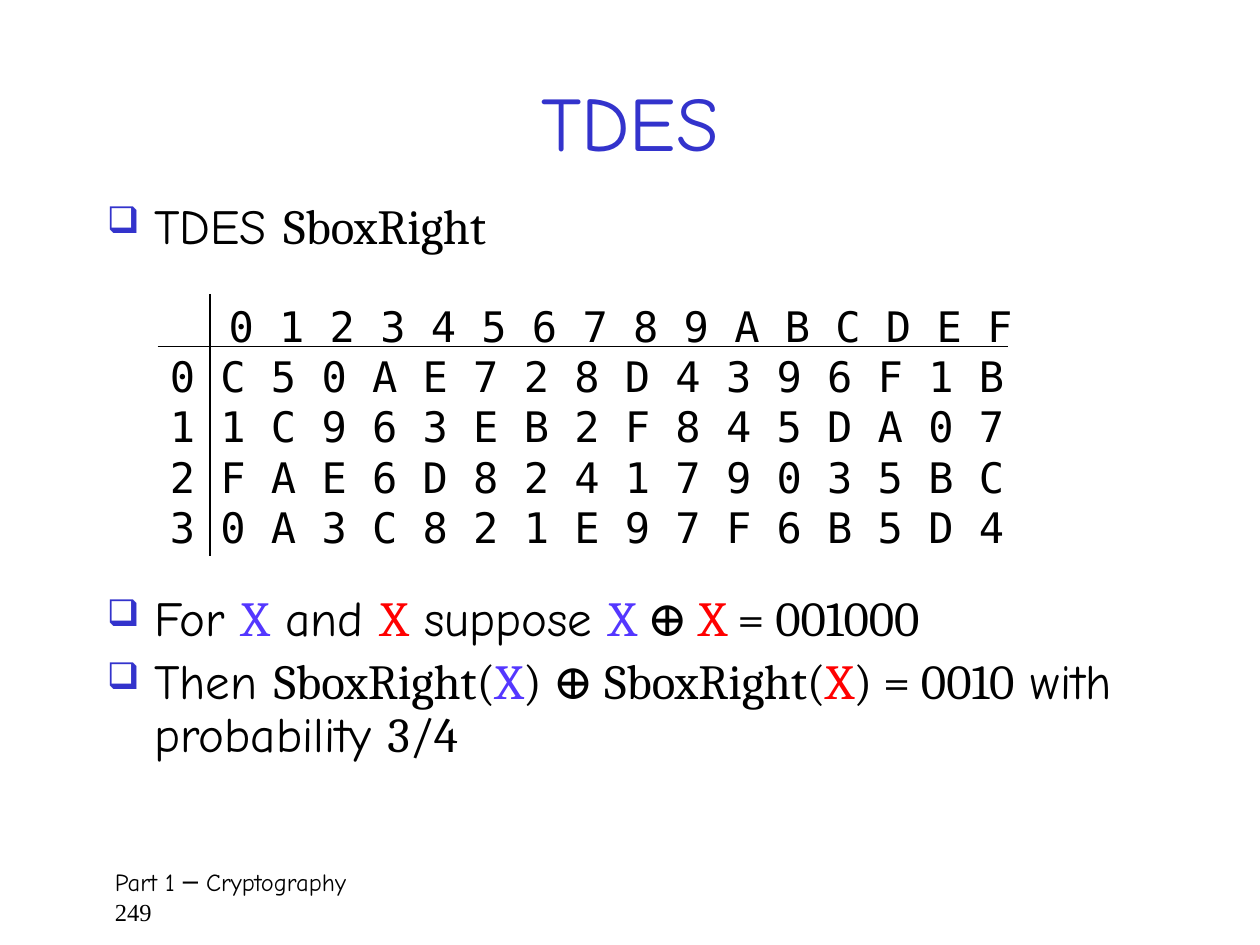
from lxml.etree import SubElement
from pptx import Presentation
from pptx.dml.color import RGBColor
from pptx.enum.shapes import MSO_CONNECTOR as Connector
from pptx.enum.text import MSO_ANCHOR as Anchor, PP_ALIGN as Align
from pptx.oxml.ns import qn
from pptx.util import Pt

BLACK, TITLE_BLUE, X_BLUE, X_RED = "000000", "3333CC", "5437FF", "FF0000"
COMIC, SERIF, MONO = "Comic Neue", "Cambria", "DejaVu Sans Mono"


def color(hex_string):
    return RGBColor.from_string(hex_string)


def add_span(para, text, name, size, hex_string=BLACK):
    span = para.add_run()
    span.text = text
    formats = {"name": name, "size": Pt(size), "bold": False}
    for key, value in formats.items():
        setattr(span.font, key, value)
    span.font.color.rgb = color(hex_string)


deck = Presentation()
deck.slide_width, deck.slide_height = Pt(720), Pt(540)
page = deck.slides.add_slide(deck.slide_layouts[5])

# Title
title = page.shapes.title
place = {"left": Pt(54), "top": Pt(24), "width": Pt(612), "height": Pt(90)}
for key, value in place.items():
    setattr(title, key, value)
title.text_frame.vertical_anchor = Anchor.MIDDLE
para = title.text_frame.paragraphs[0]
para.alignment = Align.CENTER
add_span(para, "TDES", COMIC, 44, TITLE_BLUE)

# Bulleted text: top, height, line spacing, paragraphs of spans
bullet_boxes = [
    (108, 60, 1.0, [
        [("TDES ", COMIC, BLACK), ("SboxRight", SERIF, BLACK)],
    ]),
    (336, 132, 0.9, [
        [("For ", COMIC, BLACK), ("X", SERIF, X_BLUE),
         (" and ", COMIC, BLACK), ("X", SERIF, X_RED),
         (" suppose ", COMIC, BLACK), ("X ", SERIF, X_BLUE),
         ("⊕ ", SERIF, BLACK), ("X", SERIF, X_RED),
         (" = 001000", SERIF, BLACK)],
        [("Then ", COMIC, BLACK), ("SboxRight(", SERIF, BLACK),
         ("X", SERIF, X_BLUE), (") ⊕ SboxRight(", SERIF, BLACK),
         ("X", SERIF, X_RED), (") = 0010", SERIF, BLACK),
         (" with probability ", COMIC, BLACK), ("3/4", SERIF, BLACK)],
    ]),
]
for top, height, spacing, lines in bullet_boxes:
    box = page.shapes.add_textbox(Pt(54), Pt(top), Pt(612), Pt(height))
    frame = box.text_frame
    frame.word_wrap = True
    for index, spans in enumerate(lines):
        para = frame.paragraphs[0] if index == 0 else frame.add_paragraph()
        para.line_spacing = spacing
        para.space_before = Pt(5.6 if index else 0)
        props = para._p.get_or_add_pPr()
        props.set("marL", str(Pt(27)))
        props.set("indent", str(-Pt(27)))
        bullet_color = SubElement(props, qn("a:buClr"))
        SubElement(bullet_color, qn("a:srgbClr"), val=TITLE_BLUE)
        SubElement(props, qn("a:buSzPct"), val="75000")
        SubElement(props, qn("a:buChar"), char="❑")
        for text, name, hex_string in spans:
            add_span(para, text, name, 28, hex_string)

# S-box: header row is indented past the row numbers
sbox_rows = [
    "0 1 2 3 4 5 6 7 8 9 A B C D E F",
    "0 C 5 0 A E 7 2 8 D 4 3 9 6 F 1 B",
    "1 1 C 9 6 3 E B 2 F 8 4 5 D A 0 7",
    "2 F A E 6 D 8 2 4 1 7 9 0 3 5 B C",
    "3 0 A 3 C 8 2 1 E 9 7 F 6 B 5 D 4",
]
sbox = page.shapes.add_textbox(Pt(90), Pt(162), Pt(540), Pt(155.5))
sbox.text_frame.word_wrap = True
for index, row in enumerate(sbox_rows):
    is_header = index == 0
    para = sbox.text_frame.paragraphs[0] if is_header else sbox.text_frame.add_paragraph()
    para.line_spacing = Pt(34.8 if is_header else 28.8)
    if is_header:
        para._p.get_or_add_pPr().set("marL", str(Pt(33.6)))
    add_span(para, row, MONO, 24)

for ends in [(120, 168, 120, 318), (90, 198, 576, 198)]:
    rule = page.shapes.add_connector(Connector.STRAIGHT, *map(Pt, ends))
    rule.line.color.rgb = color(BLACK)
    rule.line.width = Pt(0.75)
    SubElement(rule._element.spPr, qn("a:effectLst"))

# Footer
footer = page.shapes.add_textbox(Pt(54), Pt(492), Pt(618), Pt(36))
footer.text_frame.word_wrap = True
footer.text_frame.margin_left = Pt(11.7)
add_span(footer.text_frame.paragraphs[0], "Part 1 ─ Cryptography", COMIC, 14)
add_span(footer.text_frame.add_paragraph(), "249", "Times New Roman", 14)

deck.save("out.pptx")
